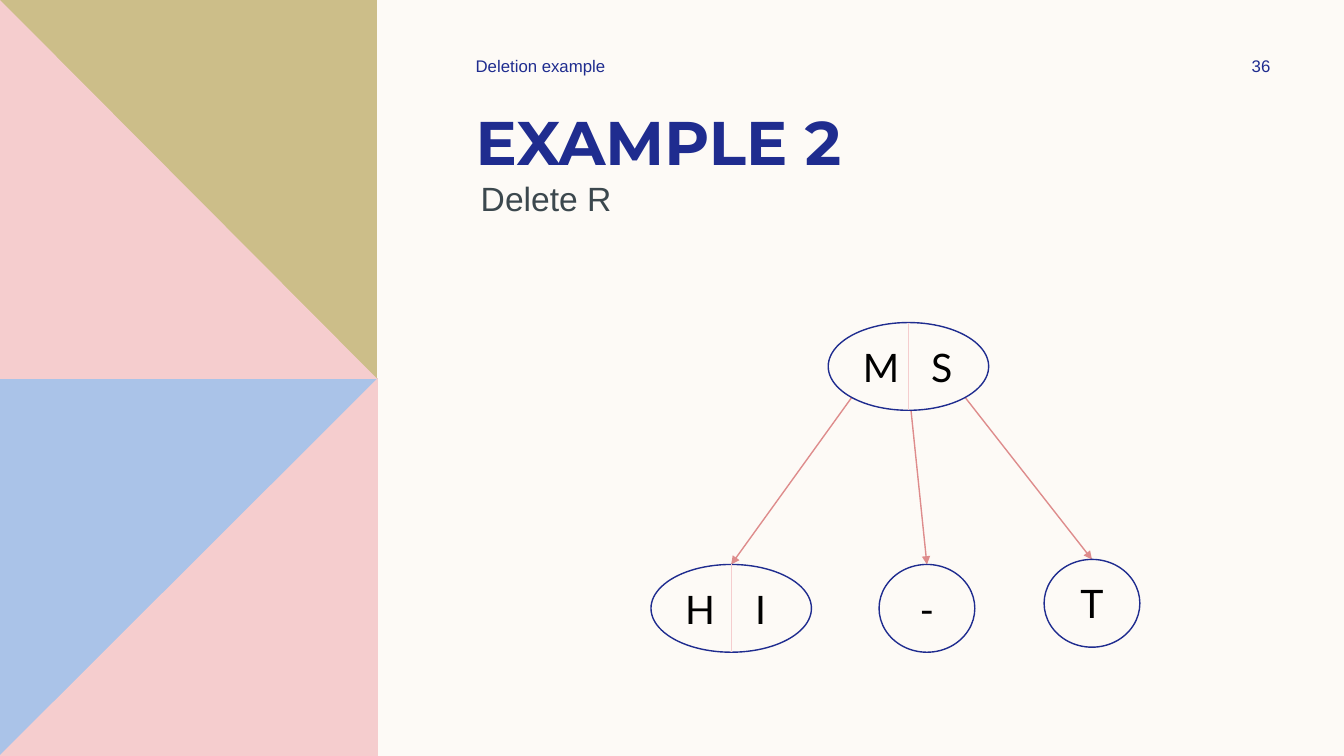
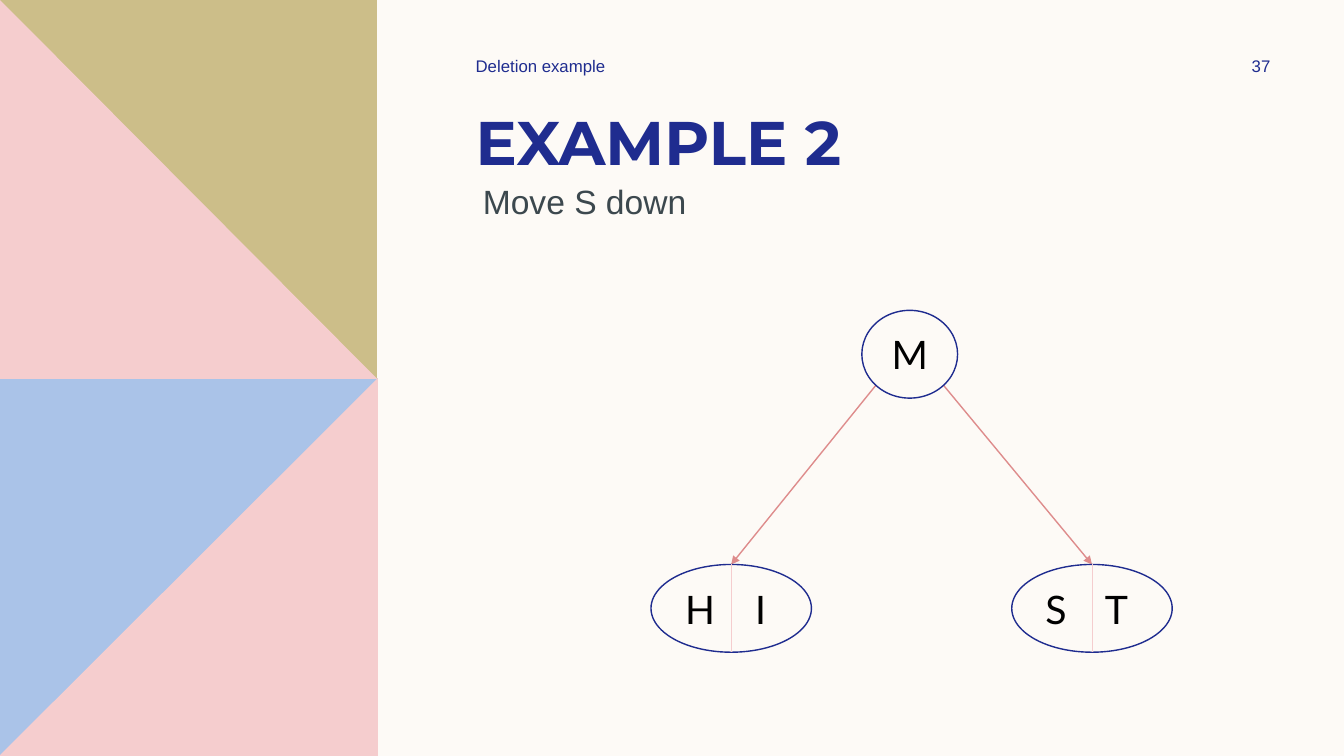
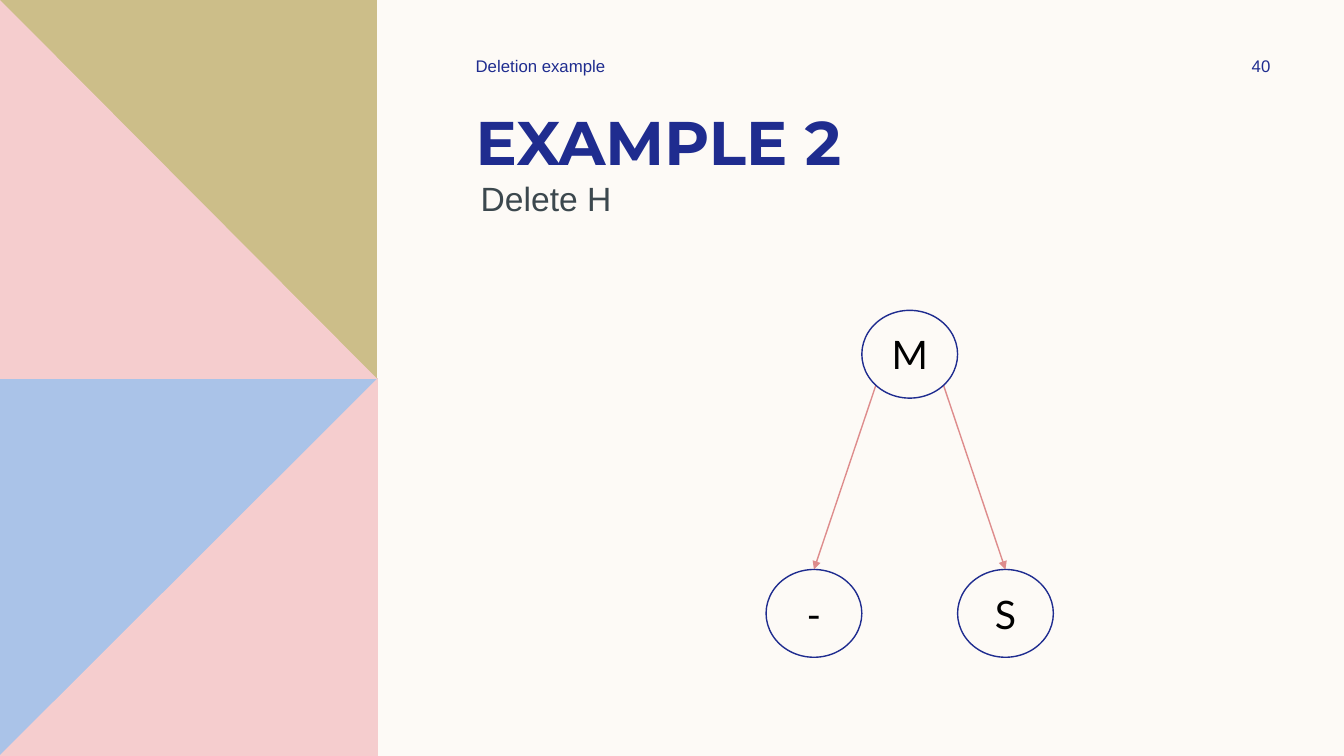
from dataclasses import dataclass
from math import sqrt

from lxml.etree import SubElement
from pptx import Presentation
from pptx.dml.color import RGBColor
from pptx.enum.shapes import MSO_CONNECTOR, MSO_SHAPE
from pptx.enum.text import MSO_ANCHOR, PP_ALIGN
from pptx.oxml.ns import qn
from pptx.slide import Slide
from pptx.text.text import TextFrame
from pptx.util import Emu, Inches, Pt

COLUMNS, ROWS = 32, 18
CELL = Inches(7.5) // ROWS
COLORS = {
    "background": "FDFAF6",
    "navy": "1F2C8F",
    "slate": "3C484E",
    "black": "000000",
    "rose": "DE8C8C",
    "pink": "F5CDCE",
    "blue": "AAC3E8",
    "olive": "CCBE89",
}
NODE_HEIGHT = 2.09
NODE_WIDTHS = {1: 2.28, 2: 3.82}
KEY_GAP = 1.44
DIAGONAL = 1 / sqrt(2)
MIDDLE_START = 0.43


@dataclass(frozen=True)
class Polygon:
    color: str
    points: tuple[tuple[float, float], ...]


@dataclass(frozen=True)
class Box:
    left: float
    top: float
    width: float
    height: float


@dataclass(frozen=True)
class TextStyle:
    size: int
    font: str
    color: str
    bold: bool = False
    alignment: PP_ALIGN = PP_ALIGN.LEFT
    anchor: MSO_ANCHOR = MSO_ANCHOR.TOP


@dataclass(frozen=True)
class Node:
    keys: str
    center: float
    top: float
    key_shift: float = 0

    @property
    def width(self) -> float:
        return NODE_WIDTHS[len(self.keys)]

    @property
    def middle(self) -> float:
        return self.top + NODE_HEIGHT / 2


@dataclass(frozen=True)
class TreeSlide:
    number: int
    step: str
    step_box: Box
    root: Node
    children: tuple[Node, ...]


SIDE_PANEL = (
    Polygon("blue", ((0, 9), (9, 9), (9, 18), (0, 18))),
    Polygon("pink", ((9, 9), (9, 18), (0, 18), (0, 17.98))),
    Polygon("olive", ((0, 0), (8.98, 0), (8.98, 9.02), (0, 9.02))),
    Polygon("pink", ((0, 0), (8.98, 9.02), (0, 9.02))),
)
TITLE_BOX = Box(11.09, 2.35, 17.76, 2.02)
TOPIC_BOX = Box(11.09, 1.2, 8.4, 0.72)
NUMBER_BOX = Box(28.73, 1.2, 2.59, 0.72)

TITLE = TextStyle(44, "Montserrat", "navy", bold=True)
TOPIC = TextStyle(12, "Arial", "navy", anchor=MSO_ANCHOR.MIDDLE)
NUMBER = TextStyle(12, "Arial", "navy", alignment=PP_ALIGN.CENTER, anchor=MSO_ANCHOR.MIDDLE)
STEP = TextStyle(24, "Arial", "slate")
SINGLE_KEY = TextStyle(28, "Lato", "black", alignment=PP_ALIGN.CENTER, anchor=MSO_ANCHOR.MIDDLE)
KEY_PAIR = TextStyle(28, "Lato", "black", anchor=MSO_ANCHOR.MIDDLE)

LEFT_PAIR = Node("HI", 17.41, 13.44, -0.02)
SINGLE_ROOT = Node("M", 21.66, 7.39)
SLIDES = (
    TreeSlide(
        36, "Delete R", Box(11.21, 4.13, 20.42, 1.2),
        Node("MS", 21.63, 7.68, 0.07),
        (LEFT_PAIR, Node("-", 22.07, 13.44), Node("T", 26, 13.32)),
    ),
    TreeSlide(
        37, "Move S down", Box(11.26, 4.18, 5.38, 1.2),
        SINGLE_ROOT,
        (LEFT_PAIR, Node("ST", 26, 13.44, -0.14)),
    ),
    TreeSlide(
        40, "Delete H", Box(11.21, 4.13, 19.92, 1.2),
        SINGLE_ROOT,
        (Node("-", 19.38, 13.56), Node("S", 23.94, 13.56)),
    ),
)


def cells(count: float) -> Emu:
    return Emu(round(count * CELL))


def rgb(name: str) -> RGBColor:
    return RGBColor.from_string(COLORS[name])


def write(frame: TextFrame, text: str, style: TextStyle, tabs: tuple[float, ...] = ()) -> None:
    frame.word_wrap = True
    frame.vertical_anchor = style.anchor
    paragraph = frame.paragraphs[0]
    paragraph.text = text
    paragraph.alignment = style.alignment
    if tabs:
        tab_list = SubElement(paragraph._p.get_or_add_pPr(), qn("a:tabLst"))
        for tab in tabs:
            SubElement(tab_list, qn("a:tab"), pos=str(cells(tab)), algn="ctr")
    paragraph.font.size = Pt(style.size)
    paragraph.font.name = style.font
    paragraph.font.bold = style.bold
    paragraph.font.color.rgb = rgb(style.color)


def add_text(slide: Slide, box: Box, text: str, style: TextStyle) -> None:
    shape = slide.shapes.add_textbox(
        cells(box.left), cells(box.top), cells(box.width), cells(box.height)
    )
    write(shape.text_frame, text, style)


def add_polygon(slide: Slide, polygon: Polygon) -> None:
    start, *corners = [(cells(x), cells(y)) for x, y in polygon.points]
    builder = slide.shapes.build_freeform(*start)
    builder.add_line_segments(corners, close=True)
    shape = builder.convert_to_shape()
    shape.shadow.inherit = False
    shape.fill.solid()
    shape.fill.fore_color.rgb = rgb(polygon.color)
    shape.line.fill.background()


def add_line(
    slide: Slide,
    start: tuple[float, float],
    end: tuple[float, float],
    color: str,
    width: float,
    arrow: bool = False,
) -> None:
    connector = slide.shapes.add_connector(
        MSO_CONNECTOR.STRAIGHT, *map(cells, start), *map(cells, end)
    )
    connector.line.color.rgb = rgb(color)
    connector.line.width = Pt(width)
    if arrow:
        SubElement(connector.line._get_or_add_ln(), qn("a:tailEnd"), type="triangle")
    SubElement(connector._element.spPr, qn("a:effectLst"))


def add_branch(slide: Slide, root: Node, child: Node, side: int) -> None:
    depth = DIAGONAL if side else MIDDLE_START
    start = (
        root.center + side * DIAGONAL * root.width / 2,
        root.middle + depth * NODE_HEIGHT / 2,
    )
    add_line(slide, start, (child.center, child.top), "rose", 1, arrow=True)


def add_node(slide: Slide, node: Node) -> None:
    shape = slide.shapes.add_shape(
        MSO_SHAPE.OVAL,
        cells(node.center - node.width / 2),
        cells(node.top),
        cells(node.width),
        cells(NODE_HEIGHT),
    )
    shape.shadow.inherit = False
    shape.fill.solid()
    shape.fill.fore_color.rgb = rgb("background")
    shape.line.color.rgb = rgb("navy")
    shape.line.width = Pt(1)
    frame = shape.text_frame
    frame.margin_left = frame.margin_right = 0
    if len(node.keys) == 1:
        write(frame, node.keys, SINGLE_KEY)
        return
    text_center = node.width * DIAGONAL / 2 + node.key_shift
    tabs = (text_center - KEY_GAP / 2, text_center + KEY_GAP / 2)
    write(frame, "".join(f"\t{key}" for key in node.keys), KEY_PAIR, tabs)
    add_line(
        slide, (node.center, node.top), (node.center, node.top + NODE_HEIGHT), "pink", 0.5
    )


def add_frame(slide: Slide, number: int) -> None:
    slide.background.fill.solid()
    slide.background.fill.fore_color.rgb = rgb("background")
    for polygon in SIDE_PANEL:
        add_polygon(slide, polygon)
    add_text(slide, TITLE_BOX, "EXAMPLE 2", TITLE)
    add_text(slide, TOPIC_BOX, "Deletion example", TOPIC)
    add_text(slide, NUMBER_BOX, str(number), NUMBER)


def add_tree(slide: Slide, root: Node, children: tuple[Node, ...]) -> None:
    sides = (-1, 0, 1) if len(children) == 3 else (-1, 1)
    for child, side in zip(children, sides):
        add_branch(slide, root, child, side)
    for node in (root, *children):
        add_node(slide, node)


def main() -> None:
    presentation = Presentation()
    presentation.slide_width = Emu(COLUMNS * CELL)
    presentation.slide_height = Emu(ROWS * CELL)
    for tree_slide in SLIDES:
        slide = presentation.slides.add_slide(presentation.slide_layouts[6])
        add_frame(slide, tree_slide.number)
        add_text(slide, tree_slide.step_box, tree_slide.step, STEP)
        add_tree(slide, tree_slide.root, tree_slide.children)
    presentation.save("out.pptx")


if __name__ == "__main__":
    main()
